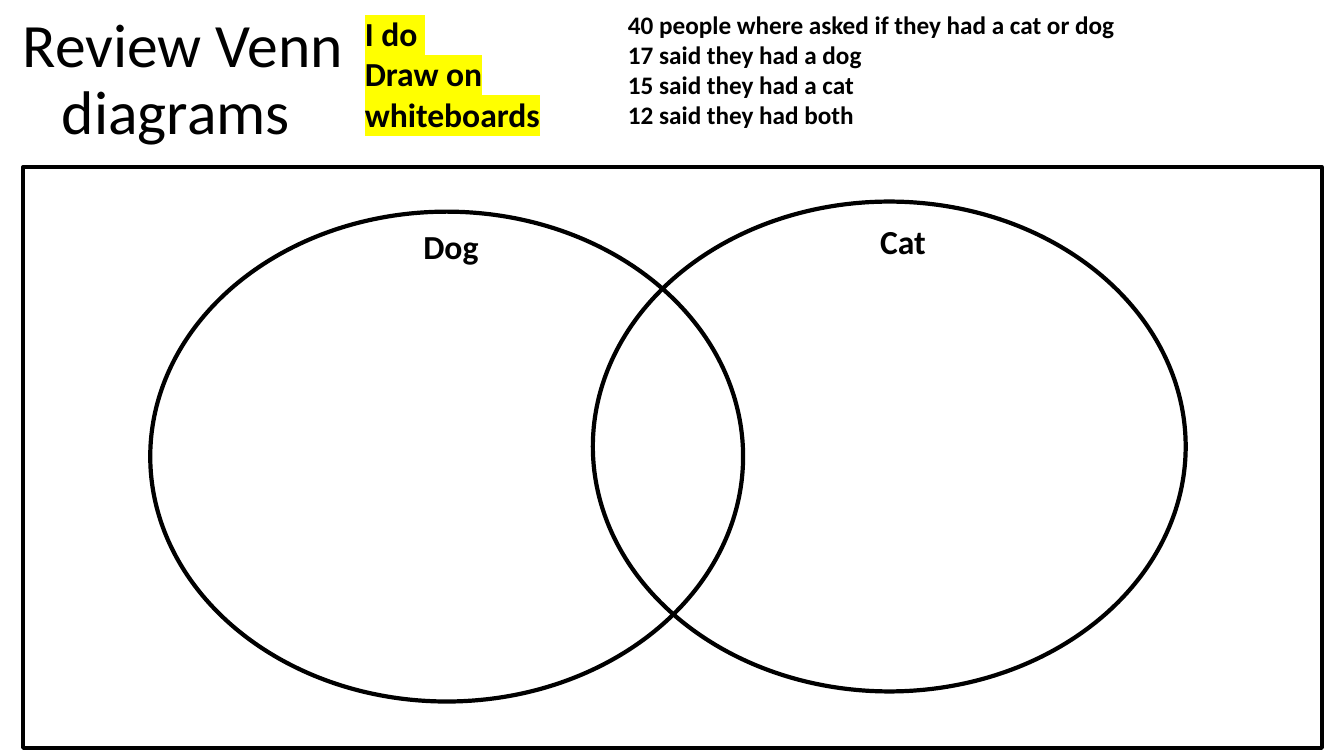
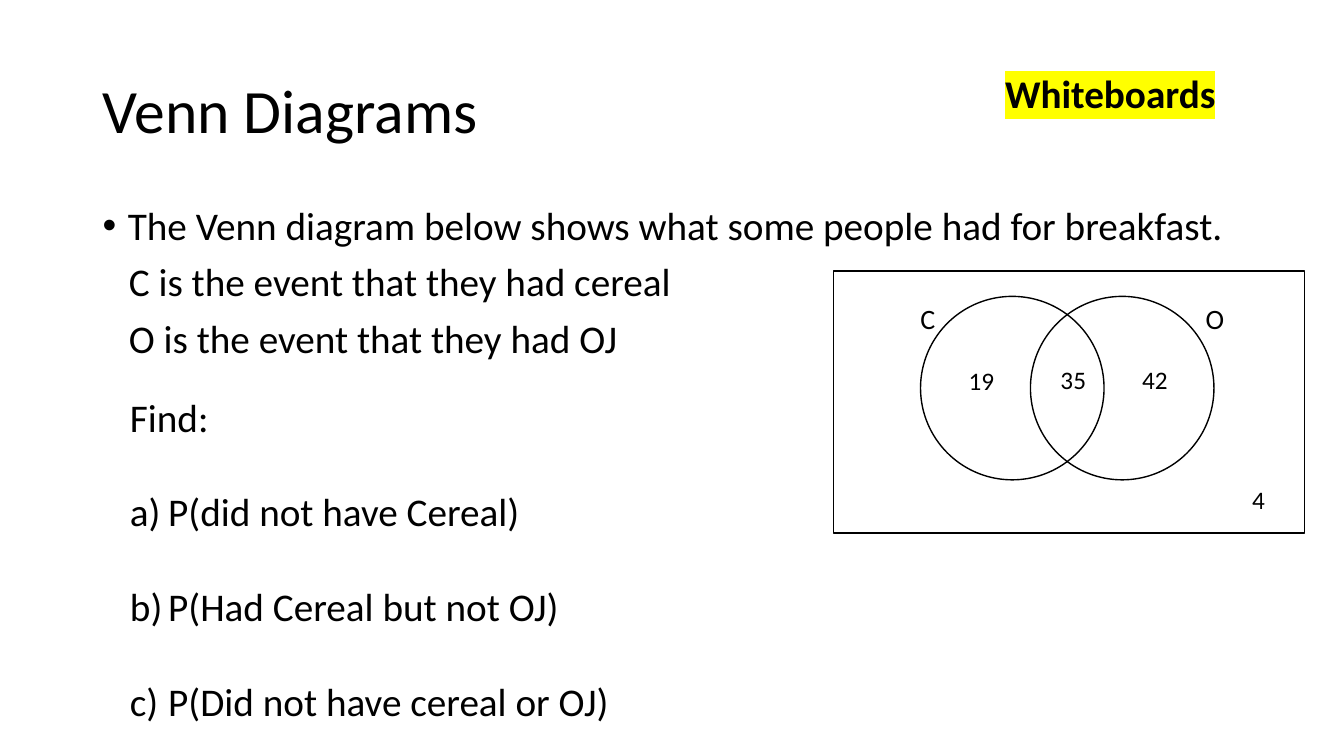
from dataclasses import dataclass

from lxml.etree import SubElement
from pptx import Presentation
from pptx.dml.color import RGBColor
from pptx.enum.shapes import MSO_SHAPE
from pptx.enum.text import MSO_ANCHOR, PP_ALIGN
from pptx.oxml.ns import qn
from pptx.util import Pt

PX = 9144  # EMU; one hundred px to the inch


@dataclass(frozen=True)
class Theme:
    font: str = "Calibri"
    ink: str = "000000"
    highlight: str = "FFFF00"
    title: int = 44
    body: int = 28
    heading: int = 24
    label: int = 20
    small: int = 18
    thick: int = 3
    thin: int = 1


class Deck:
    def __init__(self, theme):
        self.theme = theme
        self.ink = RGBColor.from_string(theme.ink)
        self.presentation = Presentation()
        self.presentation.slide_width = 1333 * PX
        self.presentation.slide_height = 750 * PX
        self.slide = None

    def add_slide(self):
        layout = self.presentation.slide_layouts[6]
        self.slide = self.presentation.slides.add_slide(layout)

    def text(self, box, lines, size, bold=False, highlight=False):
        """Add a text box with one paragraph per line; return its text frame."""
        text_box = self.slide.shapes.add_textbox(*(length * PX for length in box))
        text_frame = text_box.text_frame
        text_frame.word_wrap = True
        text_frame.text = "\n".join(lines)
        for paragraph in text_frame.paragraphs:
            for run in paragraph.runs:
                run.font.size = Pt(size)
                run.font.bold = bold
                run.font.name = self.theme.font
                run.font.color.rgb = self.ink
                if highlight:
                    self.highlight(run)
        return text_frame

    def highlight(self, run):
        properties = run.font._element
        mark = SubElement(properties, qn("a:highlight"))
        SubElement(mark, qn("a:srgbClr"), val=self.theme.highlight)
        properties.find(qn("a:solidFill")).addnext(mark)

    def title(self, box, line, alignment=PP_ALIGN.LEFT):
        text_frame = self.text(box, [line], self.theme.title)
        text_frame.vertical_anchor = MSO_ANCHOR.MIDDLE
        paragraph = text_frame.paragraphs[0]
        paragraph.alignment = alignment
        paragraph.line_spacing = 0.9

    def indent(self, paragraph, margin, hanging=0, bullet=None, **attributes):
        """Indent a paragraph, with an optional bullet element such as buChar."""
        properties = paragraph._p.get_or_add_pPr()
        properties.set("marL", str(margin * PX))
        properties.set("indent", str(-hanging * PX))
        if bullet:
            SubElement(properties, qn("a:buFont"), typeface="Arial")
            SubElement(properties, qn(f"a:{bullet}"), **attributes)

    def outline(self, kind, box, weight):
        shape = self.slide.shapes.add_shape(kind, *(length * PX for length in box))
        shape.shadow.inherit = False
        shape.fill.background()
        shape.line.color.rgb = self.ink
        shape.line.width = Pt(weight)

    def venn(self, frame, circles, weight):
        for circle in circles:
            self.outline(MSO_SHAPE.OVAL, circle, weight)
        self.outline(MSO_SHAPE.RECTANGLE, frame, weight)


def add_review_slide(deck):
    theme = deck.theme
    deck.add_slide()
    deck.title((10, 8, 343, 145), "Review Venn diagrams ", PP_ALIGN.CENTER)
    deck.venn((23, 166, 1288, 576),
              [(149, 210, 588, 486), (588, 200, 588, 486)], theme.thick)
    deck.text((352, 8, 196, 131), ["I do ", "Draw on whiteboards"],
              theme.heading, bold=True, highlight=True)
    survey = [
        "40 people where asked if they had a cat or dog",
        "17 said they had a dog",
        "15 said they had a cat",
        "12 said they had both",
    ]
    deck.text((613, 4, 676, 131), survey, theme.small, bold=True)
    for left, top, animal in [(410, 219, "Dog"), (863, 214, "Cat")]:
        deck.text((left, top, 94, 50), [animal], theme.heading, bold=True)


def add_breakfast_slide(deck):
    theme = deck.theme
    deck.add_slide()
    deck.title((92, 40, 1150, 145), "Venn Diagrams")

    introduction = deck.text((92, 200, 1150, 180), [
        "The Venn diagram below shows what some people had for breakfast.",
        "C is the event that they had cereal",
        "O is the event that they had OJ",
    ], theme.body)
    first, *events = introduction.paragraphs
    first.line_spacing = 0.9
    deck.indent(first, 25, 25, "buChar", char="•")
    for paragraph in events:
        paragraph.line_spacing = 0.9
        paragraph.space_before = Pt(10)
        deck.indent(paragraph, 26)

    deck.venn((827, 269, 467, 260),
              [(left, 294, 182, 182) for left in (913, 1022)], theme.thin)
    for left, event in [(903, "C"), (1186, "O")]:
        deck.text((left, 294, 55, 44), [event], theme.label)
    counts = [(951, 358, "19"), (1042, 357, "35"), (1123, 357, "42"), (1232, 476, "4")]
    for left, top, count in counts:
        deck.text((left, top, 54, 40), [count], theme.small)

    questions = deck.text((119, 385, 581, 340), [
        "Find:",
        "P(did not have Cereal)",
        "P(Had Cereal but not OJ)",
        "P(Did not have cereal or OJ)",
    ], theme.body)
    for paragraph in questions.paragraphs[1:]:
        paragraph.space_before = Pt(34)
        deck.indent(paragraph, 38, 38, "buAutoNum", type="alphaLcParenR")

    deck.text((987, 64, 235, 57), ["Whiteboards"],
              theme.body, bold=True, highlight=True)


def main():
    deck = Deck(Theme())
    add_review_slide(deck)
    add_breakfast_slide(deck)
    deck.presentation.save("out.pptx")


if __name__ == "__main__":
    main()
